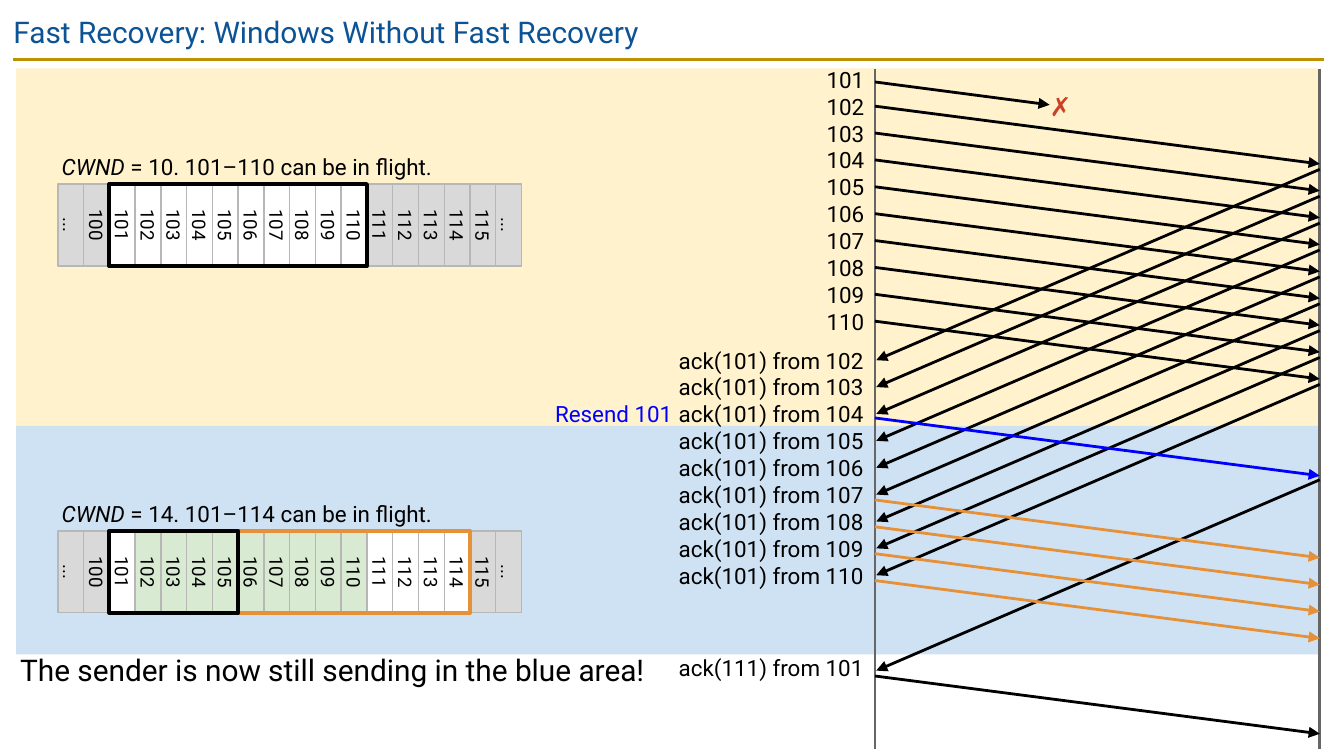
from lxml.etree import SubElement as Sub
from pptx import Presentation
from pptx.dml.color import RGBColor as Rgb
from pptx.enum.shapes import MSO_CONNECTOR as Link, MSO_SHAPE as Kind
from pptx.enum.text import MSO_ANCHOR as Anchor, MSO_AUTO_SIZE as Fit, PP_ALIGN as Align
from pptx.oxml.ns import qn
from pptx.util import Inches, Pt

HUES = {
    "black": "000000", "white": "FFFFFF", "navy": "0B5394", "gold": "BF9000",
    "cream": "FFF2CC", "sky": "CFE2F3", "axis": "666666", "red": "CC4125",
    "blue": "0000FF", "orange": "E69138", "grey": "D9D9D9", "edge": "B7B7B7",
    "green": "D9EAD3",
}

# Time axes of sender and receiver, and the gap between packets
LEFT, RIGHT, STEP = 6.51, 9.82, 0.2
SEND, BACK = 0.43, 1.42  # how far a packet or an ack falls on its way

# Strip of sequence numbers
CELLS = ["...", *map(str, range(100, 116)), "..."]
START, TALL = 0.43, 0.61
WIDE = 3.45 / len(CELLS)


def hue(name):
    return Rgb.from_string(HUES[name])


def add_run(para, text, size, color, font="Roboto", italic=False):
    run = para.add_run()
    run.text = text
    run.font.name, run.font.size = font, Pt(size)
    run.font.italic = italic
    run.font.color.rgb = hue(color)


def set_frame(frame, pad_x=0, pad_y=0, anchor=Anchor.TOP, fit=Fit.NONE):
    frame.word_wrap, frame.auto_size = True, fit
    frame.vertical_anchor = anchor
    frame.margin_left = frame.margin_right = Inches(pad_x)
    frame.margin_top = frame.margin_bottom = Inches(pad_y)


def add_rect(slide, box, fill=None, line=None, width=0.75):
    rect = slide.shapes.add_shape(Kind.RECTANGLE, *map(Inches, box))
    rect.shadow.inherit = False
    if fill:
        rect.fill.solid()
        rect.fill.fore_color.rgb = hue(fill)
    else:
        rect.fill.background()
    if line:
        rect.line.color.rgb, rect.line.width = hue(line), Pt(width)
    else:
        rect.line.fill.background()
    return rect


def add_line(slide, start, end, color="black", arrow=True):
    line = slide.shapes.add_connector(Link.STRAIGHT, *map(Inches, (*start, *end)))
    line.line.color.rgb, line.line.width = hue(color), Pt(1.5)
    if arrow:
        Sub(line.line._get_or_add_ln(), qn("a:tailEnd"), type="triangle")
    Sub(line._element.spPr, qn("a:effectLst"))


def send(slide, top, color="black"):
    add_line(slide, (LEFT, top), (RIGHT, top + SEND), color)


def reply(slide, top):
    add_line(slide, (RIGHT, top), (LEFT + 0.01, top + BACK))


def add_text(slide, box, lines, size=12, color="black", font="Roboto"):
    frame = slide.shapes.add_textbox(*map(Inches, box)).text_frame
    set_frame(frame, fit=Fit.SHAPE_TO_FIT_TEXT)
    for i, text in enumerate(lines):
        para = frame.add_paragraph() if i else frame.paragraphs[0]
        add_run(para, text, size, color, font)


def fill_holder(holder, box, text, color, pad):
    holder.left, holder.top, holder.width, holder.height = map(Inches, box)
    set_frame(holder.text_frame, pad, pad)
    para = holder.text_frame.paragraphs[0]
    props = para._p.get_or_add_pPr()
    props.set("marL", "0")
    props.set("indent", "0")
    Sub(props, qn("a:buNone"))
    para.alignment, para.space_before = Align.LEFT, Pt(0)
    add_run(para, text, 16, color)
    return para


def add_turned(slide, mid, top, span, fill, line, width):
    """Rectangle turned a quarter, centred on mid and covering span across."""
    box = (mid - TALL / 2, top + (TALL - span) / 2, TALL, span)
    rect = add_rect(slide, box, fill, line, width)
    rect.rotation = 90
    return rect


def add_strip(slide, top, last, acked=()):
    """Row of packet cells; 101 up to last are in the window."""
    for i, label in enumerate(CELLS):
        num = int(label) if label.isdigit() else 0
        fill = "green" if num in acked else "white" if 101 <= num <= last else "grey"
        cell = add_turned(slide, START + (i + 0.5) * WIDE, top, WIDE, fill, "edge", 0.75)
        set_frame(cell.text_frame, 0.1, 0.1, Anchor.MIDDLE)
        para = cell.text_frame.paragraphs[0]
        para.alignment = Align.CENTER
        add_run(para, label, 10, "black")

    frame = slide.shapes.add_textbox(
        *map(Inches, (START, top - 0.26, 3.44, 0.26))).text_frame
    set_frame(frame, 0.03, 0.03)
    add_run(frame.paragraphs[0], "CWND", 12, "black", italic=True)
    add_run(frame.paragraphs[0], f" = {last - 100}. 101–{last} can be in flight.", 12, "black")


def add_window(slide, top, first, last, color):
    count = last - first + 1
    mid = START + (first - 99 + count / 2) * WIDE
    add_turned(slide, mid, top, count * WIDE, None, color, 2.25)


def main():
    deck = Presentation()
    deck.slide_width = Inches(10)
    deck.slide_height = deck.slide_width * 9 // 16
    slide = deck.slides.add_slide(deck.slide_layouts[1])

    # Title and closing remark
    fill_holder(slide.shapes.title, (0, 0, 9.32, 0.43),
                "Fast Recovery: Windows Without Fast Recovery", "navy", 0.1)
    note = fill_holder(slide.placeholders[1], (0.12, 4.78, 4.79, 0.7),
                       "The sender is now still sending in the blue area!", "black", 0.03)
    note.line_spacing = 1.15
    add_line(slide, (0.1, 0.44), (9.85, 0.44), "gold", arrow=False)

    # Phases and time axes
    add_rect(slide, (0.12, 0.51, 9.69, 2.66), "cream")
    add_rect(slide, (0.12, 3.17, 9.69, 1.7), "sky")
    for x in (LEFT, RIGHT):
        add_line(slide, (x, 0.51), (x, 5.57), "axis", arrow=False)

    # First flight: 101 is lost, the others are acked
    add_line(slide, (LEFT, 0.61), (7.81, 0.78))
    add_text(slide, (7.81, 0.67, 0.17, 0.24), ["✗"], 14, "red", "Arial")
    for i in range(9):
        send(slide, 0.79 + i * STEP)
        reply(slide, 1.26 + i * STEP)
    add_text(slide, (6.15, 0.49, 0.33, 2.02), [str(n) for n in range(101, 111)])
    add_text(slide, (5.05, 2.58, 1.39, 1.82),
             [f"ack(101) from {n}" for n in range(102, 111)])

    # Resent packet, its ack and the next packet
    add_text(slide, (4.13, 2.98, 0.95, 0.2), ["Resend 101"], color="blue")
    send(slide, 3.11, "blue")
    reply(slide, 3.57)
    add_text(slide, (5.05, 4.87, 1.39, 0.2), ["ack(111) from 101"])
    send(slide, 5.03)

    # Packets 111 to 114
    for i in range(4):
        send(slide, 3.72 + i * STEP, "orange")

    # Windows before and after
    add_strip(slide, 1.37, 110)
    add_window(slide, 1.37, 101, 110, "black")
    add_strip(slide, 3.95, 114, range(102, 111))
    add_window(slide, 3.95, 106, 114, "orange")
    add_window(slide, 3.95, 101, 105, "black")

    deck.save("out.pptx")


if __name__ == "__main__":
    main()
